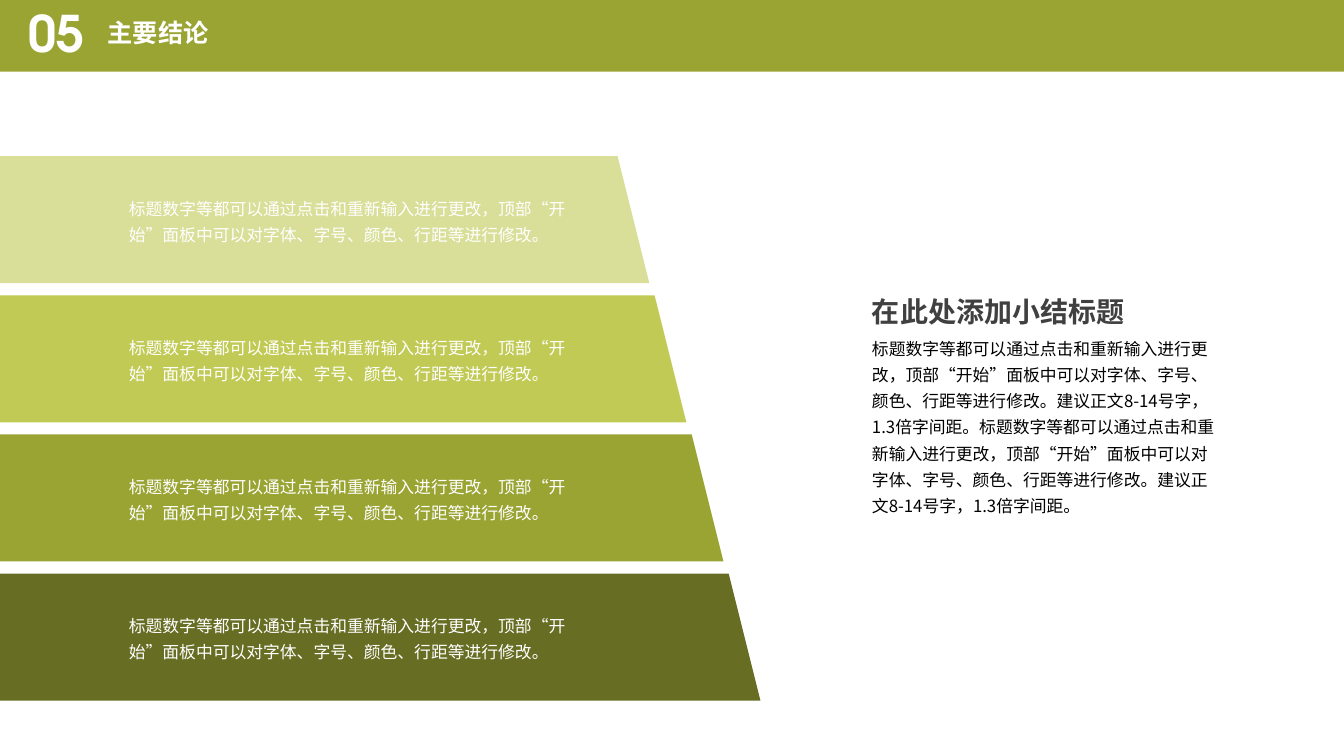
from lxml.etree import SubElement
from pptx import Presentation
from pptx.dml.color import RGBColor
from pptx.enum.shapes import MSO_SHAPE as Preset
from pptx.enum.text import MSO_ANCHOR as Anchor
from pptx.oxml.ns import qn
from pptx.util import Inches, Pt

BODY_FONT = "Noto Sans CJK SC"
HEAD_FONT = "TeX Gyre Adventor"
OLIVE, WHITE = "9AA433", "FFFFFF"
BAND_COLORS = ["D9DF98", "C0CA54", OLIVE, "676D22"]
BAND_TEXT = "标题数字等都可以通过点击和重新输入进行更改，顶部“开始”面板中可以对字体、字号、颜色、行距等进行修改。"
SUMMARY = (BAND_TEXT + "建议正文8-14号字，1.3倍字间距。") * 2

BODY = {"name": BODY_FONT, "size": Pt(12), "bold": False}
SUBTITLE = {"name": BODY_FONT, "size": Pt(20), "bold": True}
TITLE = {"name": HEAD_FONT, "size": Pt(18), "bold": True}
NUMBER = {"name": HEAD_FONT, "size": Pt(36), "bold": True}
BODY_SPACING = {"line_spacing": 1.3}
HEAD_SPACING = {"line_spacing": 0.9, "space_before": Pt(10)}


def rgb(color):
    return RGBColor.from_string(color)


def apply(target, values):
    for name, value in values.items():
        setattr(target, name, value)


def add_block(slide, preset, box, color):
    block = slide.shapes.add_shape(preset, *map(Inches, box))
    block.shadow.inherit = False
    block.fill.solid()
    block.fill.fore_color.rgb = rgb(color)
    block.line.fill.background()


def add_text(slide, box, text, font, spacing, color, anchor=Anchor.TOP):
    frame = slide.shapes.add_textbox(*map(Inches, box)).text_frame
    apply(frame, {"word_wrap": True, "vertical_anchor": anchor})
    paragraph = frame.paragraphs[0]
    apply(paragraph, spacing)
    run = paragraph.add_run()
    run.text = text
    apply(run.font, font)
    run.font.color.rgb = rgb(color)
    # Chinese characters take their typeface from a:ea
    SubElement(run._r.get_or_add_rPr(), qn("a:ea"), typeface=BODY_FONT)


def add_header(slide):
    add_block(slide, Preset.RECTANGLE, (0, 0, 13.33, 0.71), OLIVE)
    add_text(slide, (0.97, 0.16, 4.18, 0.4), "主要结论", TITLE, HEAD_SPACING, WHITE)
    add_text(slide, (0.18, 0.09, 0.79, 0.53), "05", NUMBER, HEAD_SPACING, WHITE,
             Anchor.MIDDLE)


def add_bands(slide):
    """Stack trapezoids on one centre line, each wider than the one above."""
    center, pitch = 2.88, 1.38
    for i, color in enumerate(BAND_COLORS):
        width, top = 7.12 + 0.735 * i, 1.55 + pitch * i
        add_block(slide, Preset.TRAPEZOID, (center - width / 2, top, width, 1.26), color)
        add_text(slide, (1.18, top + 0.31, 4.61, 0.63), BAND_TEXT, BODY, BODY_SPACING, WHITE)


def add_summary(slide):
    add_text(slide, (8.55, 3.25, 3.61, 1.94), SUMMARY, BODY, BODY_SPACING, "000000")
    add_text(slide, (8.55, 2.77, 3.19, 0.54), "在此处添加小结标题", SUBTITLE,
             BODY_SPACING, "404040")


def main():
    deck = Presentation()
    apply(deck, {"slide_width": Inches(13.33), "slide_height": Inches(7.5)})
    slide = deck.slides.add_slide(deck.slide_layouts[6])
    add_header(slide)
    add_bands(slide)
    add_summary(slide)
    deck.save("out.pptx")


if __name__ == "__main__":
    main()
